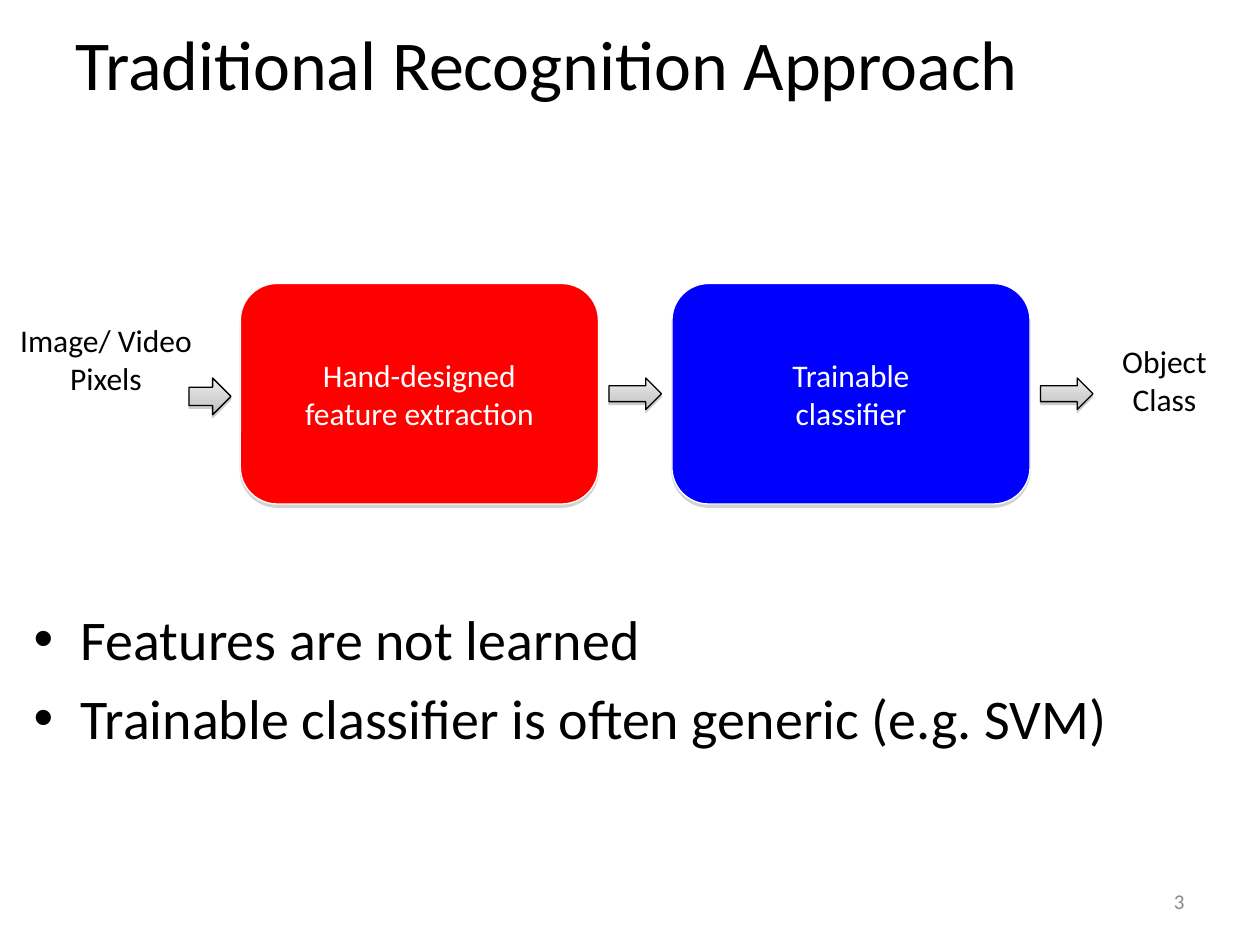
import pptx
import pptx.dml.color
import pptx.enum.shapes
import pptx.enum.text
import pptx.oxml
import pptx.oxml.ns
import pptx.util

RGBColor = pptx.dml.color.RGBColor
Align = pptx.enum.text.PP_ALIGN
Anchor = pptx.enum.text.MSO_ANCHOR
Preset = pptx.enum.shapes.MSO_SHAPE

BLACK = RGBColor(0x00, 0x00, 0x00)
WHITE = RGBColor(0xFF, 0xFF, 0xFF)
RED = RGBColor(0xFF, 0x00, 0x00)
BLUE = RGBColor(0x00, 0x00, 0xFF)
GRAY = RGBColor(0x89, 0x89, 0x89)
SHADOW = RGBColor(0x80, 0x80, 0x80)
ARROW_STOPS = [
    (0, RGBColor(0xED, 0xED, 0xED)),
    (65, RGBColor(0xD0, 0xD0, 0xD0)),
    (100, RGBColor(0xBC, 0xBC, 0xBC)),
]

FONT = "Calibri"
COLUMNS, ROWS = 120, 90
SLIDE_WIDTH = pptx.util.Inches(10)
SLIDE_HEIGHT = pptx.util.Inches(7.5)


def grid_box(left, top, width, height):
    """Turn grid columns and rows into slide lengths."""
    column, row = SLIDE_WIDTH / COLUMNS, SLIDE_HEIGHT / ROWS
    return [round(v) for v in (left * column, top * row, width * column, height * row)]


def place(shape, box):
    """Move a shape to a box of the grid."""
    shape.left, shape.top, shape.width, shape.height = grid_box(*box)


def write_text(shape, paragraphs, size=18, color=BLACK, align=Align.CENTER,
               anchor=Anchor.TOP, wrap=True, space_before=None):
    """Fill a shape with formatted paragraphs."""
    frame = shape.text_frame
    frame.word_wrap = wrap
    frame.vertical_anchor = anchor
    for index, text in enumerate(paragraphs):
        paragraph = frame.paragraphs[0] if index == 0 else frame.add_paragraph()
        paragraph.text = text
        paragraph.alignment = align
        if space_before is not None:
            paragraph.space_before = pptx.util.Pt(space_before if index else 0)
        paragraph.font.name = FONT
        paragraph.font.size = pptx.util.Pt(size)
        paragraph.font.color.rgb = color


def add_shadow(shape, distance, opacity):
    """Give a shape a sharp shadow that falls straight down."""
    shape.shadow.inherit = False
    effects = shape._element.spPr.find(pptx.oxml.ns.qn("a:effectLst"))
    effects.append(pptx.oxml.parse_xml(
        f'<a:outerShdw {pptx.oxml.ns.nsdecls("a")} dist="{pptx.util.Pt(distance)}" '
        f'dir="5400000" rotWithShape="0"><a:srgbClr val="{SHADOW}">'
        f'<a:alpha val="{opacity * 1000}"/></a:srgbClr></a:outerShdw>'))


def add_label(slide, box, paragraphs, **text_format):
    """Add a plain text box."""
    label = slide.shapes.add_textbox(*grid_box(*box))
    write_text(label, paragraphs, **text_format)


def add_stage(slide, box, text, color):
    """Add one rounded stage of the pipeline."""
    stage = slide.shapes.add_shape(Preset.ROUNDED_RECTANGLE, *grid_box(*box))
    stage.fill.solid()
    stage.fill.fore_color.rgb = color
    stage.line.color.rgb = WHITE
    stage.line.width = pptx.util.Pt(0.75)
    add_shadow(stage, 1.8, 35)
    write_text(stage, [text], color=WHITE, anchor=Anchor.MIDDLE)


def add_arrow(slide, box):
    """Add a block arrow with a gray gradient."""
    arrow = slide.shapes.add_shape(Preset.RIGHT_ARROW, *grid_box(*box))
    arrow.fill.gradient()
    arrow.fill.gradient_angle = 270
    stops = arrow._element.spPr.find(".//" + pptx.oxml.ns.qn("a:gsLst"))
    for stop in list(stops):
        stops.remove(stop)
    for position, color in ARROW_STOPS:
        stops.append(pptx.oxml.parse_xml(
            f'<a:gs {pptx.oxml.ns.nsdecls("a")} pos="{position * 1000}">'
            f'<a:srgbClr val="{color}"/></a:gs>'))
    arrow.line.color.rgb = BLACK
    arrow.line.width = pptx.util.Pt(0.75)
    add_shadow(arrow, 1.6, 38)


def add_pipeline(slide, box):
    """Add the stages, arrows and end labels of the pipeline."""
    left, top, width, height = box
    stage_width, step = 34.1, 41.1
    stages = [("Hand-designed\nfeature extraction", RED), ("Trainable\nclassifier", BLUE)]
    add_arrow(slide, (left - 4.9, top + 9, 4, 3.5))
    for index, (text, color) in enumerate(stages):
        stage_left = left + index * step
        add_stage(slide, (stage_left, top, stage_width, height), text, color)
        add_arrow(slide, (stage_left + stage_width + 1, top + 9, 5, 3))
    add_label(slide, (left - 24.7, top + 3, 23.8, 15.7), ["Image/ Video", "Pixels"])
    add_label(slide, (left + width, top + 5, 14, 10.9), ["Object\nClass"], wrap=False)


def add_title(slide, box):
    """Set the slide title."""
    title = slide.shapes.title
    place(title, box)
    write_text(title, ["Traditional Recognition Approach"], size=40,
               align=Align.LEFT, anchor=Anchor.MIDDLE)


def add_remarks(slide, box):
    """Set the bulleted remarks."""
    body = slide.placeholders[1]
    place(body, box)
    write_text(body, ["Features are not learned",
                      "Trainable classifier is often generic (e.g. SVM)"],
               size=32, align=Align.LEFT, space_before=6.4)


def main():
    """Build and save the slide."""
    presentation = pptx.Presentation()
    presentation.slide_width = SLIDE_WIDTH
    presentation.slide_height = SLIDE_HEIGHT
    slide = presentation.slides.add_slide(presentation.slide_layouts[1])
    add_title(slide, (6, 0, 108, 12))
    add_pipeline(slide, (22.9, 27, 81, 21))
    add_remarks(slide, (2, 57, 116, 22))
    add_label(slide, (86, 83.4, 28, 4.8), ["3"], size=12, color=GRAY,
              align=Align.RIGHT, anchor=Anchor.MIDDLE)
    presentation.save("out.pptx")


if __name__ == "__main__":
    main()
